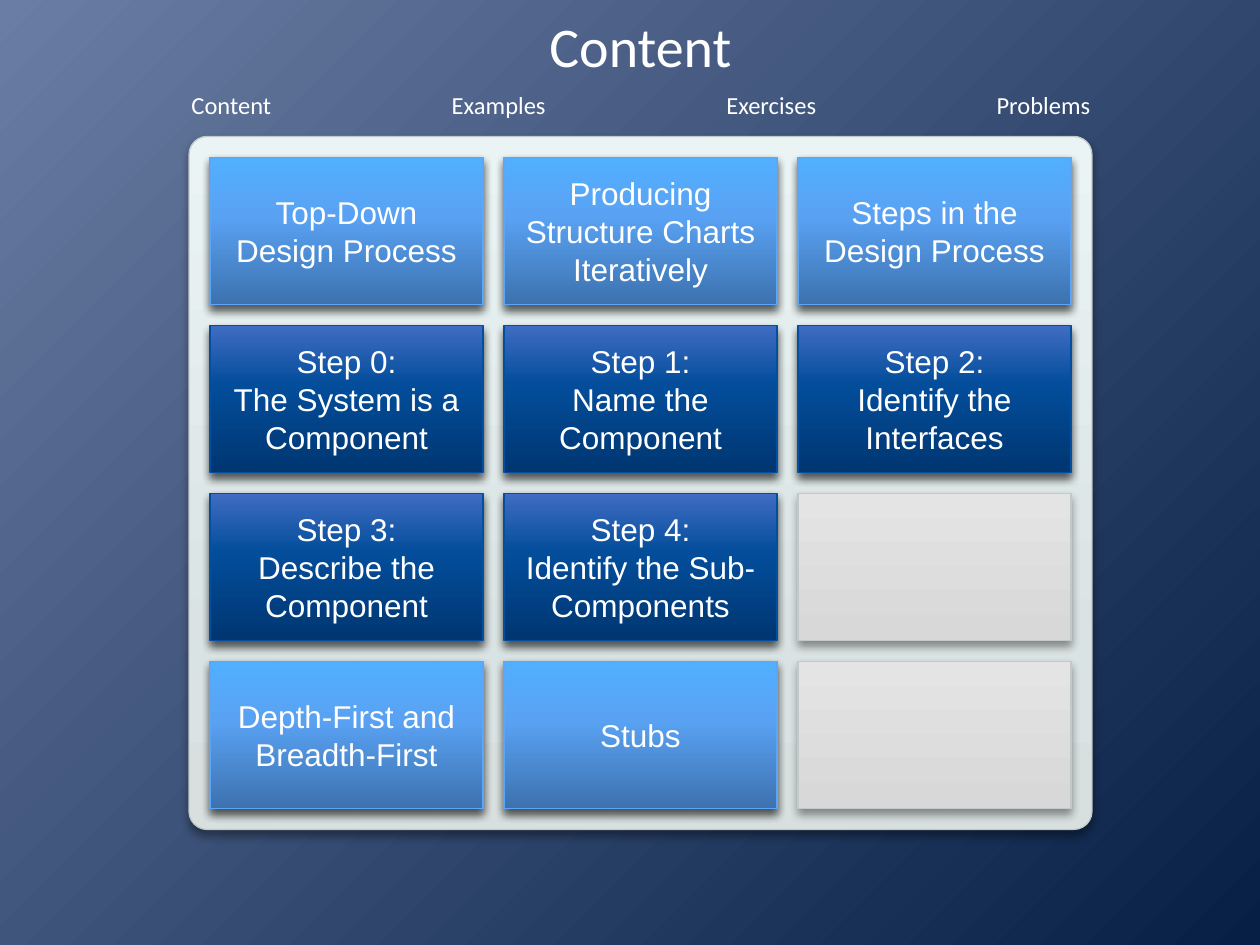
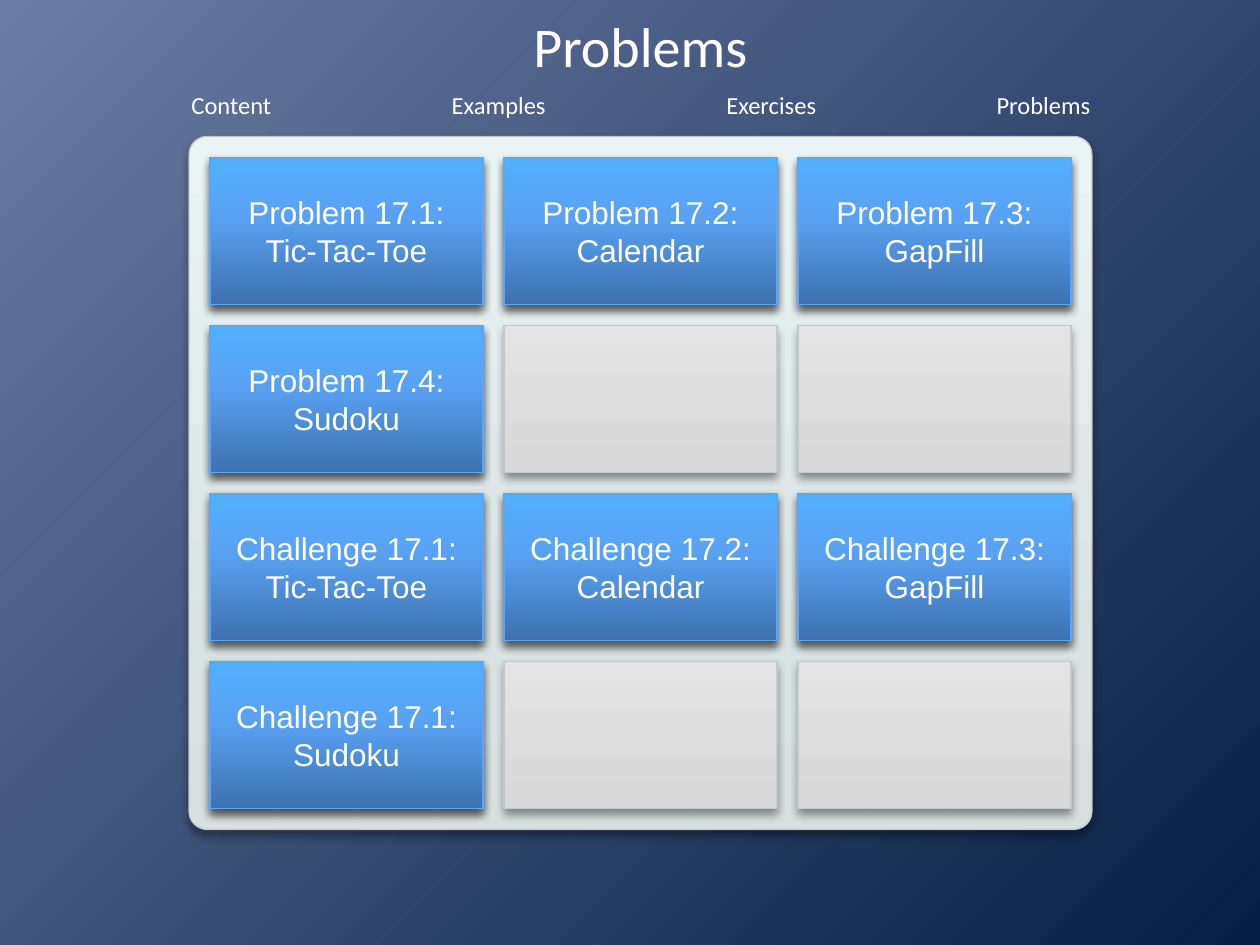
"""Build two menu slides that share one board of tiles."""
import pptx
import pptx.dml.color
import pptx.enum.shapes
import pptx.enum.text
import pptx.oxml.ns
import pptx.oxml.xmlchemy
import pptx.util
from lxml import etree

Pt = pptx.util.Pt
qn = pptx.oxml.ns.qn
SHAPE = pptx.enum.shapes.MSO_SHAPE
ALIGN = pptx.enum.text.PP_ALIGN
ANCHOR = pptx.enum.text.MSO_ANCHOR
SIZE = pptx.enum.text.MSO_AUTO_SIZE

WHITE = "FFFFFF"
BACK = [(0, "6A7DA4"), (100, "071F45")]
PANEL = ([(0, "D7DFDF"), (25, "DAE3E3"), (100, "EBF4F4")], "C1C9C9")
BLANK = ([(0, "D8D8D8"), (1, "D8D8D8"), (100, "E4E4E4")], "C1C9C9")
LIGHT = ([(0, "3D72AF"), (60, "59A2F3"), (100, "52AFFF")], "5BA6FA")
DARK = ([(0, "003671"), (60, "034D9B"), (100, "406DC3")], "034EA0")

ROWS, COLS = 4, 3
LEFT, WIDTH = 108, 516
MENU = [("Content", 60.5), ("Examples", 69), ("Exercises", 66.5), ("Problems", 68.5)]

# A paragraph is one list item; a newline inside it is a line break.
TOPICS = [
    (0, 0, LIGHT, ["Top-Down", "Design Process"]),
    (0, 1, LIGHT, ["Producing Structure Charts Iteratively"]),
    (0, 2, LIGHT, ["Steps in the Design Process"]),
    (1, 0, DARK, ["Step 0:\nThe System is a Component"]),
    (1, 1, DARK, ["Step 1:", "Name the Component"]),
    (1, 2, DARK, ["Step 2:", "Identify the Interfaces"]),
    (2, 0, DARK, ["Step 3:", "Describe the Component"]),
    (2, 1, DARK, ["Step 4:", "Identify the Sub-Components"]),
    (3, 0, LIGHT, ["Depth-First and Breadth-First"]),
    (3, 1, LIGHT, ["Stubs"]),
]
TASKS = [
    (0, 0, LIGHT, ["Problem 17.1:\nTic-Tac-Toe"]),
    (0, 1, LIGHT, ["Problem 17.2:\nCalendar"]),
    (0, 2, LIGHT, ["Problem 17.3:\nGapFill"]),
    (1, 0, LIGHT, ["Problem 17.4:\nSudoku"]),
    (2, 0, LIGHT, ["Challenge 17.1:\nTic-Tac-Toe"]),
    (2, 1, LIGHT, ["Challenge 17.2:\nCalendar"]),
    (2, 2, LIGHT, ["Challenge 17.3:\nGapFill"]),
    (3, 0, LIGHT, ["Challenge 17.1:\nSudoku"]),
]


def tint(code):
    return pptx.dml.color.RGBColor.from_string(code)


def node(parent, tag, **attrs):
    return etree.SubElement(parent, qn(tag), {k: str(v) for k, v in attrs.items()})


def blend(grad, stops):
    """Put the stops into an emptied gradient."""
    for child in list(grad):
        grad.remove(child)
    group = node(grad, "a:gsLst")
    for pos, code in stops:
        node(node(group, "a:gs", pos=pos * 1000), "a:srgbClr", val=code)


def shade(shape):
    """Give the shape a soft shadow below."""
    shape.shadow.inherit = False
    effects = shape.element.spPr.find(qn("a:effectLst"))
    outer = node(effects, "a:outerShdw", blurRad=Pt(5.2), dist=Pt(3),
                 dir=5400000, rotWithShape=0)
    node(node(outer, "a:srgbClr", val="000000"), "a:alpha", val=40000)


def write(frame, paras, size, font):
    """Write centred white paragraphs, run by run."""
    for num, text in enumerate(paras):
        para = frame.add_paragraph() if num else frame.paragraphs[0]
        para.alignment = ALIGN.CENTER
        for idx, line in enumerate(text.split("\n")):
            if idx:
                para.add_line_break()
            run = para.add_run()
            run.text = line
            run.font.size = Pt(size)
            run.font.name = font
            run.font.color.rgb = tint(WHITE)


def block(slide, kind, box, style):
    """Add a shape with an upright gradient, thin line and shadow."""
    shape = slide.shapes.add_shape(kind, *map(Pt, box))
    stops, edge = style
    shape.fill.gradient()
    grad = shape.element.spPr.find(qn("a:gradFill"))
    blend(grad, stops)
    node(grad, "a:lin", ang=16200000, scaled=0)
    shape.line.color.rgb = tint(edge)
    shape.line.width = Pt(0.75)
    shade(shape)
    return shape


def tile(slide, row, col, style, paras=()):
    """Add one tile at its place in the grid."""
    box = (120 + col * 168, 90 + row * 96, 156, 84)
    shape = block(slide, SHAPE.RECTANGLE, box, style)
    frame = shape.text_frame
    frame.word_wrap = True
    frame.vertical_anchor = ANCHOR.MIDDLE
    write(frame, paras, 18, "Arial")
    return shape


def label(slide, text, left, width):
    """Add one menu word."""
    shape = slide.shapes.add_textbox(Pt(left), Pt(48), Pt(width), Pt(24.5))
    shape.text_frame.word_wrap = False
    shape.text_frame.auto_size = SIZE.SHAPE_TO_FIT_TEXT
    write(shape.text_frame, [text], 14, "Calibri")
    return shape


def paint(layout):
    """Spread the backdrop from the top left corner."""
    layout.background.fill.gradient()
    grad = next(layout.element.iter(qn("a:gradFill")))
    blend(grad, BACK)
    node(node(grad, "a:path", path="circle"), "a:fillToRect", r=100000, b=100000)


def board(slide, layout):
    """Draw the shared panel, blanks and menu, and move them to the layout."""
    panel = block(slide, SHAPE.ROUNDED_RECTANGLE, (LEFT, 78, WIDTH, 396), PANEL)
    panel.adjustments[0] = 0.026
    parts = [panel]
    parts += [tile(slide, row, col, BLANK) for row in range(ROWS) for col in range(COLS)]
    left = 102
    for text, width in MENU:
        parts.append(label(slide, text, left, width))
        left += width + 88
    for part in parts:
        layout.shapes.element.append(part.element)


def head(slide, text):
    """Place and write the title."""
    title = slide.shapes.title
    title.left, title.top, title.width, title.height = map(Pt, (LEFT, 8, WIDTH, 36))
    frame = title.text_frame
    frame.auto_size = SIZE.NONE
    frame.vertical_anchor = ANCHOR.MIDDLE
    frame.margin_left = frame.margin_right = frame.margin_top = frame.margin_bottom = 0
    write(frame, [text], 32, "Calibri")


def main():
    deck = pptx.Presentation()
    deck.slide_width, deck.slide_height = Pt(720), Pt(540)
    layout = deck.slide_layouts[5]
    paint(layout)
    for num, (text, tiles) in enumerate([("Content", TOPICS), ("Problems", TASKS)]):
        slide = deck.slides.add_slide(layout)
        if num == 0:
            board(slide, layout)
        head(slide, text)
        for item in tiles:
            tile(slide, *item)
    deck.save("out.pptx")


if __name__ == "__main__":
    main()
